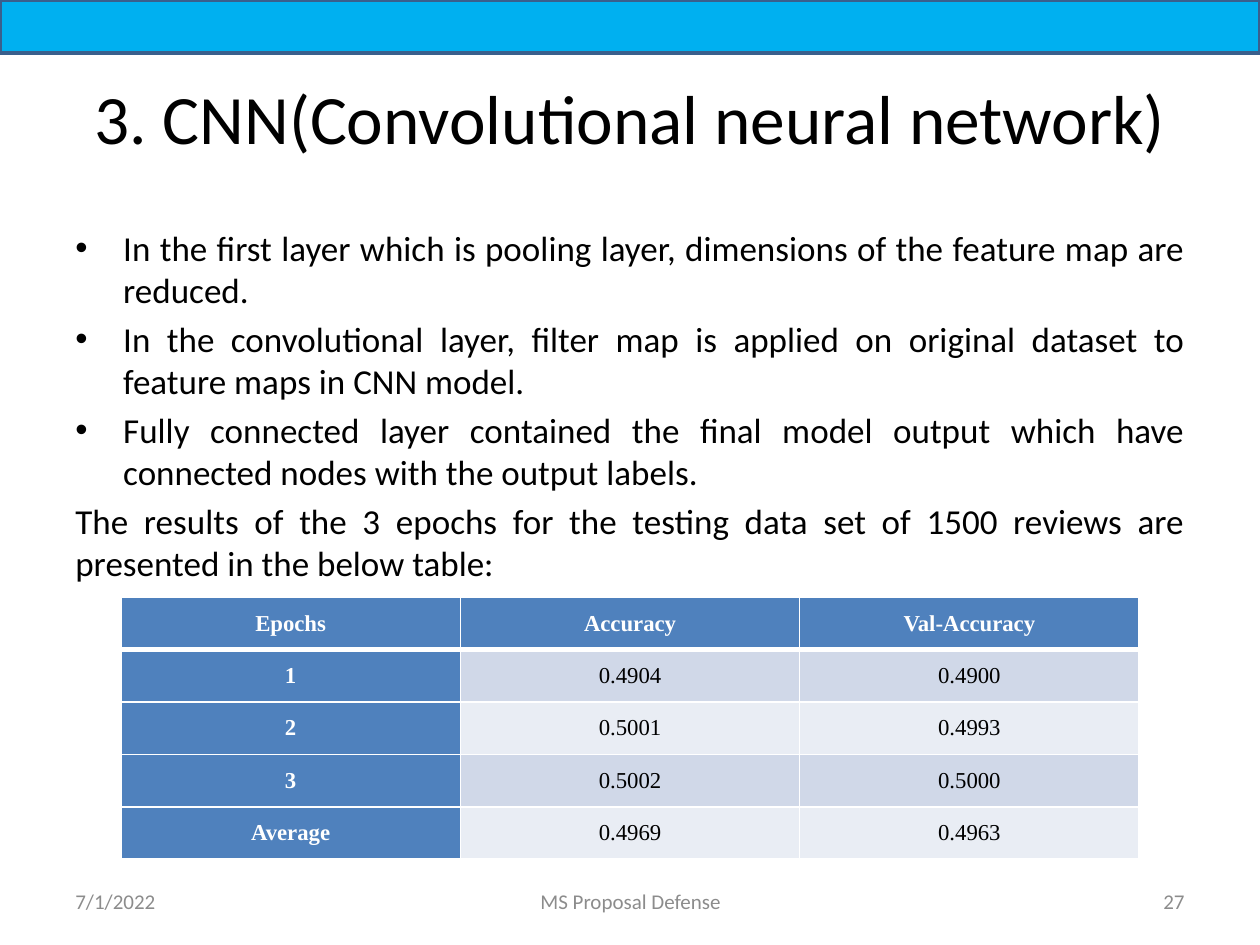
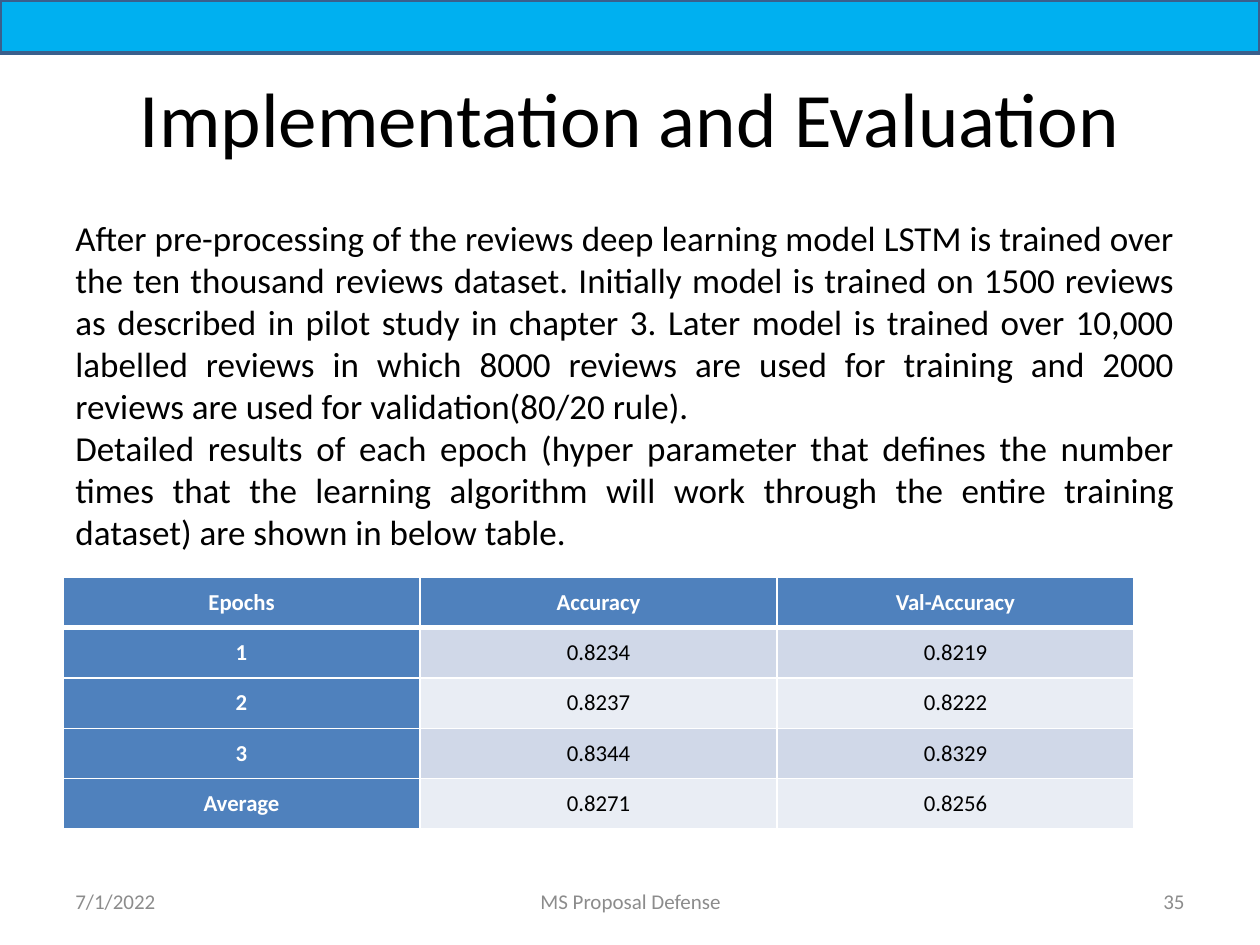
import pptx
import pptx.dml.color
import pptx.enum.shapes
import pptx.enum.text
import pptx.oxml
import pptx.util
from lxml import etree

Inches, Pt = pptx.util.Inches, pptx.util.Pt
RGBColor = pptx.dml.color.RGBColor
ALIGN = pptx.enum.text.PP_ALIGN
ANCHOR = pptx.enum.text.MSO_ANCHOR

BLACK = RGBColor(0x00, 0x00, 0x00)
WHITE = RGBColor(0xFF, 0xFF, 0xFF)
GREY = RGBColor(0x8C, 0x8C, 0x8C)
BAND_BLUE = RGBColor(0x00, 0xB0, 0xF0)
BAND_EDGE = RGBColor(0x3A, 0x5F, 0x8C)
HEADER_BLUE = RGBColor(0x4F, 0x81, 0xBD)
ROW_FILLS = [RGBColor(0xE9, 0xED, 0xF4), RGBColor(0xD0, 0xD8, 0xE8)]
FONT = "Calibri"
BULLET_INDENT = Inches(0.38)

SLIDES = [
    {
        "title": "3. CNN(Convolutional neural network)",
        "title_size": 39.6,
        "number": "27",
        "body_box": (0.5, 1.75, 9, 4.95),
        "space_before": 4,
        "bullets": 3,
        "body": [
            "In the first layer which is pooling layer, dimensions of the feature map are reduced.",
            "In the convolutional layer, filter map is applied on original dataset to feature maps "
            "in CNN model.",
            "Fully connected layer contained the final model output which have connected nodes "
            "with the output labels.",
            "The results of the 3 epochs for the testing data set of 1500 reviews are presented "
            "in the below table:",
        ],
        "table_box": (0.96, 4.74, 8.08, 2.08),
        "table_font": "Times New Roman",
        "results": [("1", "0.4904", "0.4900"), ("2", "0.5001", "0.4993"),
                    ("3", "0.5002", "0.5000"), ("Average", "0.4969", "0.4963")],
    },
    {
        "title": "Implementation and Evaluation",
        "title_size": 44,
        "number": "35",
        "body_box": (0.5, 1.67, 8.92, 3.13),
        "space_before": 0,
        "bullets": 0,
        "body": [
            "After pre-processing of the reviews deep learning model LSTM is trained over the ten "
            "thousand reviews dataset. Initially model is trained on 1500 reviews as described in "
            "pilot study in chapter 3. Later model is trained over 10,000 labelled reviews in "
            "which 8000 reviews are used for training and 2000 reviews are used for "
            "validation(80/20 rule).",
            "Detailed results of each epoch (hyper parameter that defines the number times that "
            "the learning algorithm will work through the entire training dataset) are shown in "
            "below table. ",
        ],
        "table_box": (0.5, 4.58, 8.5, 2),
        "table_font": FONT,
        "results": [("1", "0.8234", "0.8219"), ("2", "0.8237", "0.8222"),
                    ("3", "0.8344", "0.8329"), ("Average", "0.8271", "0.8256")],
    },
]


def write(paragraph, text, size, color, align, font=FONT, bold=False):
    paragraph.alignment = align
    run = paragraph.add_run()
    run.text = text
    run.font.name = font
    run.font.size = Pt(size)
    run.font.bold = bold
    run.font.color.rgb = color


def add_text_frame(slide, box, anchor):
    """Add a wrapping text box and return its text frame."""
    frame = slide.shapes.add_textbox(*map(Inches, box)).text_frame
    frame.word_wrap = True
    frame.vertical_anchor = anchor
    return frame


deck = pptx.Presentation()
deck.slide_width, deck.slide_height = Inches(10), Inches(7.5)

for content in SLIDES:
    slide = deck.slides.add_slide(deck.slide_layouts[6])

    band = slide.shapes.add_shape(pptx.enum.shapes.MSO_SHAPE.RECTANGLE,
                                  0, 0, deck.slide_width, Inches(0.42))
    band.shadow.inherit = False
    band.fill.solid()
    band.fill.fore_color.rgb = BAND_BLUE
    band.line.color.rgb = BAND_EDGE
    band.line.width = Pt(2)

    title = add_text_frame(slide, (0.5, 0.3, 9, 1.25), ANCHOR.MIDDLE)
    write(title.paragraphs[0], content["title"], content["title_size"], BLACK, ALIGN.CENTER)

    body = add_text_frame(slide, content["body_box"], ANCHOR.TOP)
    for index, text in enumerate(content["body"]):
        paragraph = body.add_paragraph() if index else body.paragraphs[0]
        write(paragraph, text, 20, BLACK, ALIGN.JUSTIFY)
        paragraph.space_before = Pt(content["space_before"])
        if index < content["bullets"]:
            properties = paragraph._p.get_or_add_pPr()
            properties.set("marL", str(BULLET_INDENT))
            properties.set("indent", str(-BULLET_INDENT))
            etree.SubElement(properties, pptx.oxml.ns.qn("a:buFont"), typeface="Arial")
            etree.SubElement(properties, pptx.oxml.ns.qn("a:buChar"), char="•")

    for left, width, text, align in [(0.5, 2.33, "7/1/2022", ALIGN.LEFT),
                                     (3.42, 3.17, "MS Proposal Defense", ALIGN.CENTER),
                                     (7.17, 2.33, content["number"], ALIGN.RIGHT)]:
        footer = add_text_frame(slide, (left, 6.95, width, 0.4), ANCHOR.MIDDLE)
        write(footer.paragraphs[0], text, 12, GREY, align)

    rows = [("Epochs", "Accuracy", "Val-Accuracy")] + content["results"]
    results = slide.shapes.add_table(len(rows), 3, *map(Inches, content["table_box"])).table
    for r, row in enumerate(rows):
        for c, text in enumerate(row):
            cell = results.cell(r, c)
            heading = r == 0 or c == 0
            cell.vertical_anchor = ANCHOR.MIDDLE
            cell.margin_left = cell.margin_right = Inches(0.07)
            cell.margin_top = cell.margin_bottom = 0
            for side in "LRTB":
                below_header = (r, side) in [(0, "B"), (1, "T")]
                border = etree.SubElement(cell._tc.get_or_add_tcPr(),
                                          pptx.oxml.ns.qn(f"a:ln{side}"),
                                          w=str(Pt(3 if below_header else 1)))
                paint = etree.SubElement(border, pptx.oxml.ns.qn("a:solidFill"))
                etree.SubElement(paint, pptx.oxml.ns.qn("a:srgbClr"), val=str(WHITE))
            cell.fill.solid()
            cell.fill.fore_color.rgb = HEADER_BLUE if heading else ROW_FILLS[r % 2]
            write(cell.text_frame.paragraphs[0], text, 13, WHITE if heading else BLACK,
                  ALIGN.CENTER, content["table_font"], heading)

deck.save("out.pptx")
